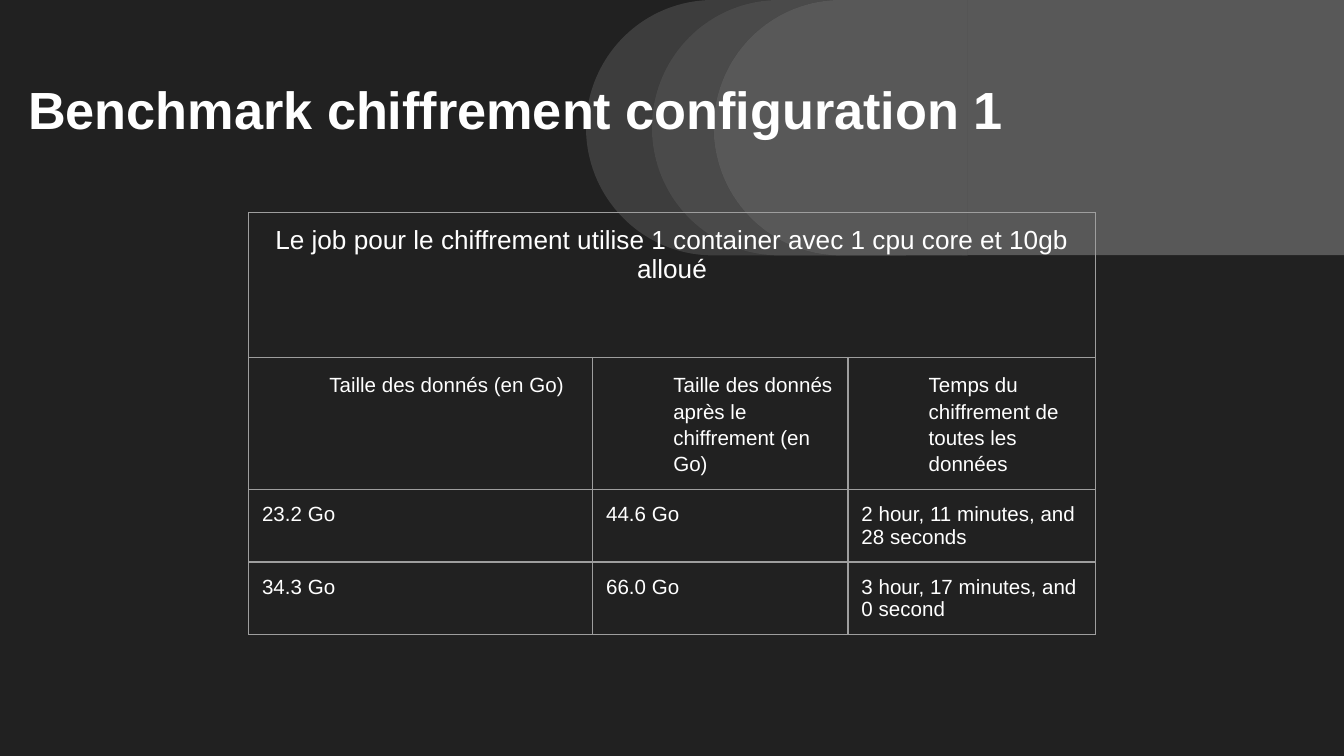
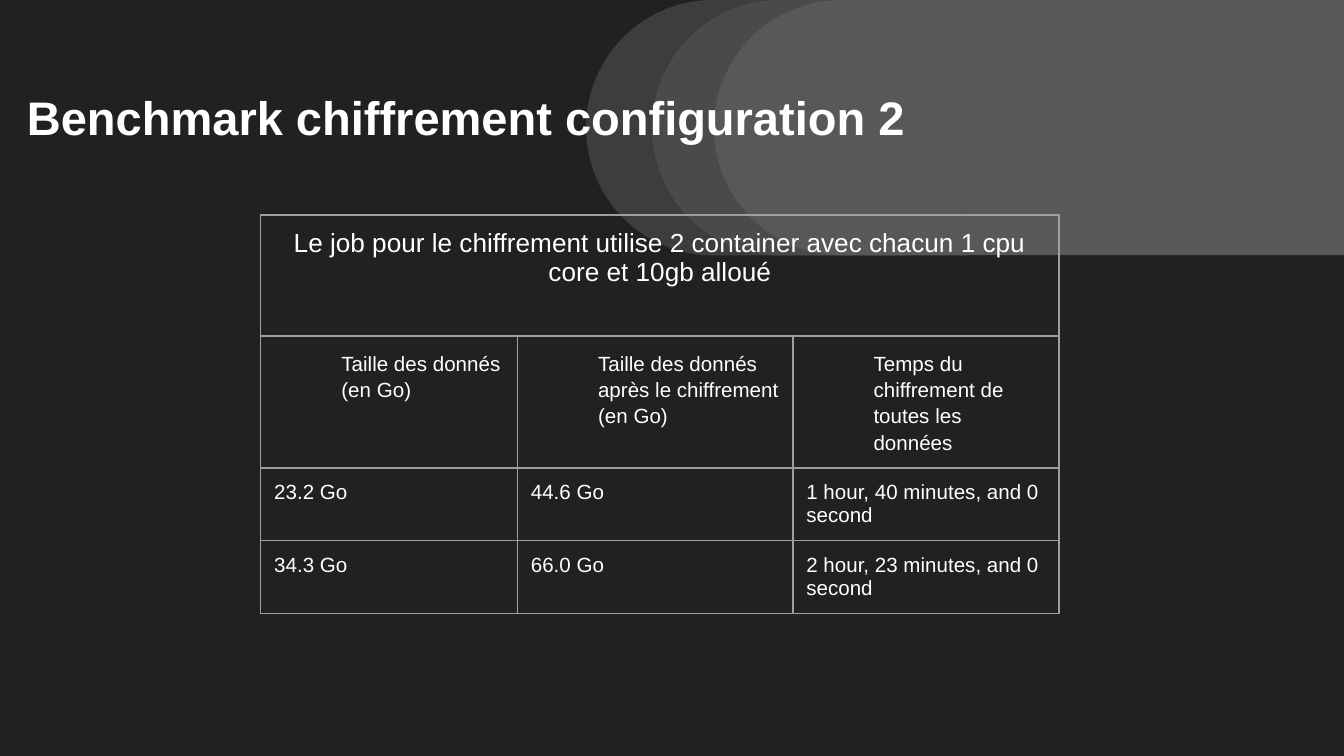
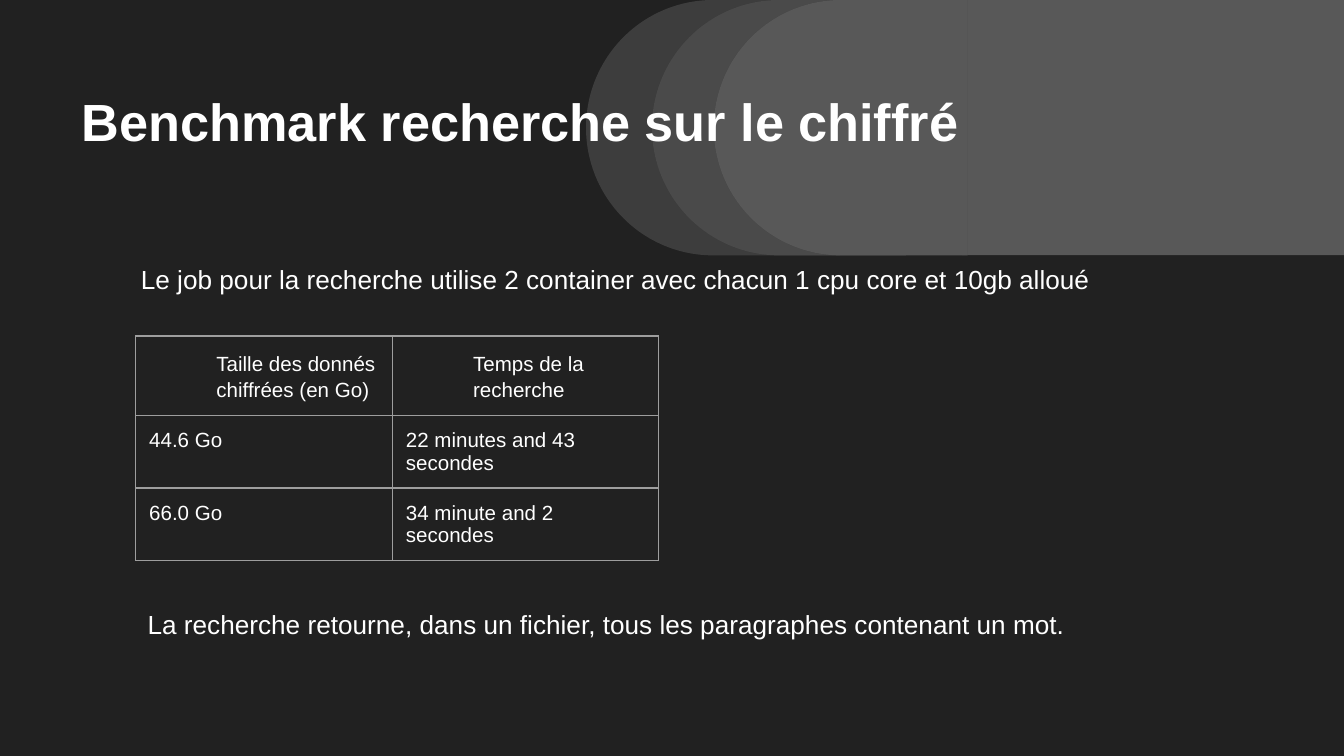
from lxml import etree
from pptx import Presentation
from pptx.dml.color import RGBColor
from pptx.enum.shapes import MSO_SHAPE
from pptx.enum.text import MSO_ANCHOR, MSO_AUTO_SIZE, PP_ALIGN
from pptx.oxml.ns import qn
from pptx.util import Inches, Pt

RECTANGLE = MSO_SHAPE.RECTANGLE
DELAY = MSO_SHAPE.FLOWCHART_DELAY
BOTTOM = MSO_ANCHOR.BOTTOM
LEFT, CENTER = PP_ALIGN.LEFT, PP_ALIGN.CENTER
NO_FIT, GROW = MSO_AUTO_SIZE.NONE, MSO_AUTO_SIZE.SHAPE_TO_FIT_TEXT

DARK = RGBColor(0x21, 0x21, 0x21)
WHITE = RGBColor(0xFF, 0xFF, 0xFF)
GRID = RGBColor(0x9E, 0x9E, 0x9E)
FONT = "Arial"
SLIDE_WIDTH = 10
SLIDE_HEIGHT = SLIDE_WIDTH * 9 / 16
BAND_HEIGHT = 1.9
INSET = 0.1
TITLE_ONLY = 5
FIRST_BACKDROP_ID = 100
VEIL_ALPHA = 25
ARCHES = [(4.36, 13), (4.85, 19), (5.31, VEIL_ALPHA)]

DATA_SIZE = "Taille des donnés (en Go)"
ENCRYPTED_SIZE = "Taille des donnés après le chiffrement (en Go)"
ENCRYPTION_TIME = "Temps du chiffrement de toutes les données"
ENCRYPTION_HEADERS = [DATA_SIZE, ENCRYPTED_SIZE, ENCRYPTION_TIME]


def inches(box):
    return [Inches(length) for length in box]


def style_text(paragraph, size, bold=False):
    for run in paragraph.runs:
        run.font.name = FONT
        run.font.size = Pt(size)
        run.font.bold = bold
        run.font.color.rgb = WHITE


def set_insets(target, bottom=INSET):
    target.margin_left = target.margin_right = target.margin_top = Inches(INSET)
    target.margin_bottom = Inches(bottom)


def add_panel(slide, kind, box, color, alpha=None):
    panel = slide.shapes.add_shape(kind, *inches(box))
    panel.shadow.inherit = False
    panel.line.fill.background()
    panel.fill.solid()
    panel.fill.fore_color.rgb = color
    if alpha is not None:
        tint = panel.element.spPr.find(".//" + qn("a:srgbClr"))
        etree.SubElement(tint, qn("a:alpha")).set("val", str(alpha * 1000))
    return panel


def build_backdrop(slide):
    panels = [
        add_panel(slide, RECTANGLE, (0, 0, SLIDE_WIDTH, SLIDE_HEIGHT), DARK),
        add_panel(slide, RECTANGLE, (0, 0, SLIDE_WIDTH, BAND_HEIGHT), DARK),
        add_panel(slide, RECTANGLE, (7.16, 0, 2.84, BAND_HEIGHT), WHITE, VEIL_ALPHA),
    ]
    for left, alpha in ARCHES:
        for color, opacity in ((DARK, None), (WHITE, alpha)):
            arch = add_panel(slide, DELAY, (left, 0, 1.89, BAND_HEIGHT), color, opacity)
            arch.rotation = 180
            panels.append(arch)
    layout_tree = slide.slide_layout.shapes.element
    for number, panel in enumerate(panels, FIRST_BACKDROP_ID):
        panel.element.nvSpPr.cNvPr.set("id", str(number))
        layout_tree.append(panel.element)


def set_title(slide, text, box, size=28, bottom=INSET):
    title = slide.shapes.title
    title.left, title.top, title.width, title.height = inches(box)
    frame = title.text_frame
    frame.text = text
    frame.word_wrap = True
    frame.auto_size = NO_FIT
    frame.vertical_anchor = BOTTOM
    set_insets(frame, bottom)
    frame.paragraphs[0].alignment = LEFT
    style_text(frame.paragraphs[0], size, bold=True)


def add_sentence(slide, text, box):
    frame = slide.shapes.add_textbox(*inches(box)).text_frame
    frame.word_wrap = True
    frame.auto_size = GROW
    frame.text = text
    set_insets(frame)
    style_text(frame.paragraphs[0], 14)


def add_borders(cell):
    properties = cell._tc.get_or_add_tcPr()
    for position, side in enumerate(("a:lnL", "a:lnR", "a:lnT", "a:lnB")):
        border = etree.Element(qn(side), w=str(Pt(0.75)))
        fill = etree.SubElement(border, qn("a:solidFill"))
        etree.SubElement(fill, qn("a:srgbClr"), val=str(GRID))
        properties.insert(position, border)


def fill_cell(cell, text, size=11):
    cell.text = text
    set_insets(cell)
    cell.fill.background()
    add_borders(cell)
    paragraph = cell.text_frame.paragraphs[0]
    style_text(paragraph, size)
    return paragraph


def format_header(paragraph):
    paragraph.line_spacing = 1.15
    paragraph.space_after = Pt(16)
    properties = paragraph._p.get_or_add_pPr()
    properties.set("marL", str(Inches(0.5)))
    properties.set("indent", "0")


def add_results(slide, left, top, widths, heights, headers, results, caption=None):
    box = (left, top, sum(widths), sum(heights))
    table = slide.shapes.add_table(len(heights), len(widths), *inches(box)).table
    table.first_row = table.horz_banding = False
    for column, width in zip(table.columns, widths):
        column.width = Inches(width)
    for row, height in zip(table.rows, heights):
        row.height = Inches(height)
    header_row = 0
    if caption:
        header_row = 1
        for column in range(len(widths)):
            paragraph = fill_cell(table.cell(0, column), "" if column else caption, 14)
            paragraph.alignment = CENTER
        table.cell(0, 0).merge(table.cell(0, len(widths) - 1))
    for row, texts in enumerate([headers, *results], header_row):
        for column, text in enumerate(texts):
            paragraph = fill_cell(table.cell(row, column), text)
            if row == header_row:
                format_header(paragraph)


def build_first_configuration(slide):
    set_title(slide, "Benchmark chiffrement configuration 1", (0.11, -0.36, 8.5, 1.5))
    add_results(
        slide, 1.85, 1.58, [2.56, 1.9, 1.84], [1.08, 0.84, 0.47, 0.47],
        ENCRYPTION_HEADERS,
        [["23.2 Go", "44.6 Go", "2 hour, 11 minutes, and 28 seconds"],
         ["34.3 Go", "66.0 Go", "3 hour, 17 minutes, and 0 second"]],
        "Le job pour le chiffrement utilise 1 container avec 1 cpu core et 10gb alloué",
    )


def build_second_configuration(slide):
    set_title(slide, "Benchmark chiffrement configuration 2", (0.1, 0.1, 6.92, 1.5),
              size=25.2, bottom=0.52)
    add_results(
        slide, 1.94, 1.6, [1.91, 2.05, 1.98], [0.9, 0.9, 0.53, 0.42],
        ENCRYPTION_HEADERS,
        [["23.2 Go", "44.6 Go", "1 hour, 40 minutes, and 0 second"],
         ["34.3 Go", "66.0 Go", "2 hour, 23 minutes, and 0 second"]],
        "Le job pour le chiffrement utilise 2 container avec chacun 1 cpu core et 10gb alloué",
    )


def build_search(slide):
    set_title(slide, "Benchmark recherche sur le chiffré", (0.51, 0.49, 8.36, 0.74))
    add_results(
        slide, 1.01, 2.5, [1.91, 1.98], [0.39, 0.42, 0.42],
        ["Taille des donnés chiffrées (en Go)", "Temps de la recherche"],
        [["44.6 Go", "22 minutes and 43 secondes"],
         ["66.0 Go", "34 minute and 2 secondes"]],
    )
    add_sentence(
        slide,
        "La recherche retourne, dans un fichier, tous les paragraphes contenant un mot.",
        (1, 4.43, 8.01, 0.44),
    )
    add_sentence(
        slide,
        "Le job pour la recherche utilise 2 container avec chacun 1 cpu core et 10gb alloué",
        (0.95, 1.86, 8.01, 0.44),
    )


def main():
    deck = Presentation()
    deck.slide_width, deck.slide_height = inches((SLIDE_WIDTH, SLIDE_HEIGHT))
    layout = deck.slide_layouts[TITLE_ONLY]
    builders = [build_first_configuration, build_second_configuration, build_search]
    slides = [deck.slides.add_slide(layout) for _ in builders]
    build_backdrop(slides[0])
    for build, slide in zip(builders, slides):
        build(slide)
    deck.save("out.pptx")


if __name__ == "__main__":
    main()
